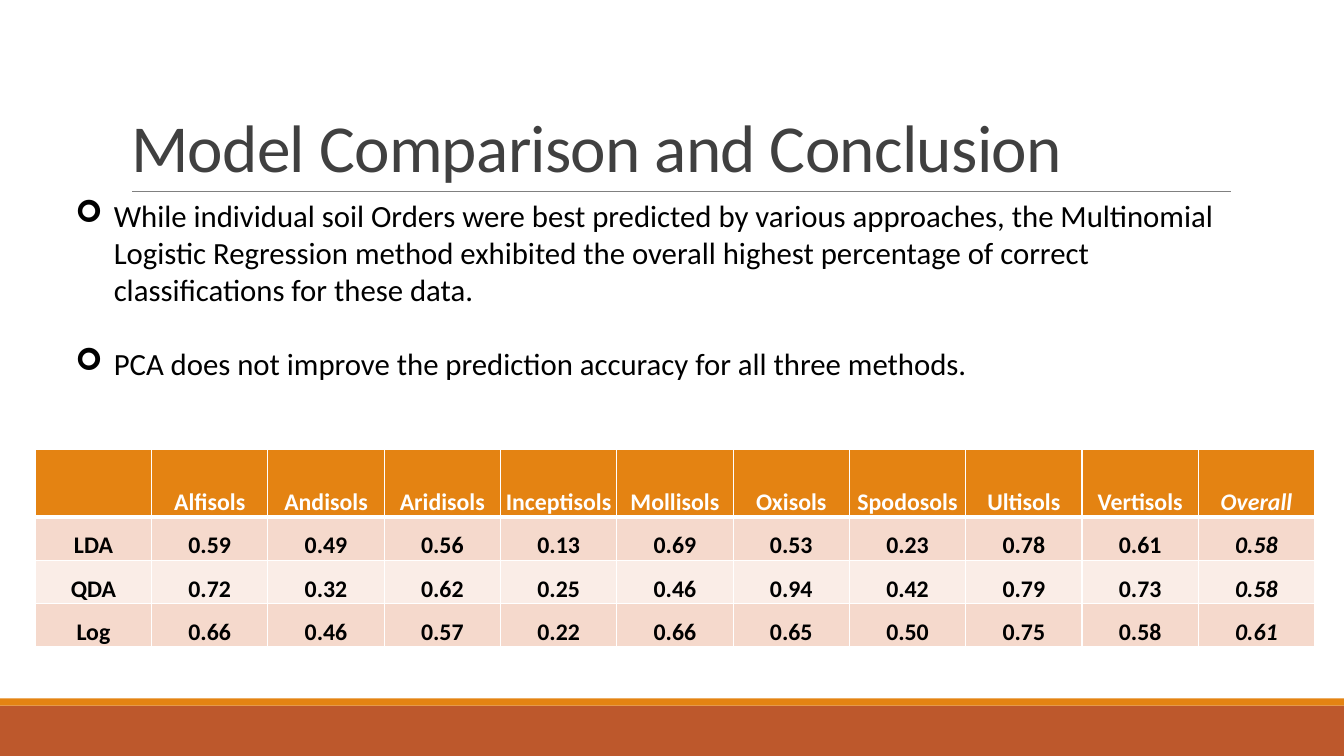
from lxml.etree import SubElement
from pptx import Presentation
from pptx.dml.color import RGBColor
from pptx.enum.shapes import MSO_CONNECTOR, MSO_SHAPE
from pptx.enum.text import MSO_ANCHOR, PP_ALIGN
from pptx.oxml.ns import qn
from pptx.util import Inches, Pt

FONT = "Calibri"
COLORS = {
    "rust": "BD582C", "orange": "E48312", "rule": "808080", "title": "404040",
    "text": "000000", "white": "FFFFFF", "band_dark": "F5D9CC", "band_light": "FAEDE7",
}
POINTS = [
    "While individual soil Orders were best predicted by various approaches, "
    "the Multinomial Logistic Regression method exhibited the overall highest "
    "percentage of correct classifications for these data.",
    "PCA does not improve the prediction accuracy for all three methods.",
]
ACCURACY = [
    ["", "Alfisols", "Andisols", "Aridisols", "Inceptisols", "Mollisols",
     "Oxisols", "Spodosols", "Ultisols", "Vertisols", "Overall"],
    ["LDA", "0.59", "0.49", "0.56", "0.13", "0.69", "0.53", "0.23", "0.78", "0.61", "0.58"],
    ["QDA", "0.72", "0.32", "0.62", "0.25", "0.46", "0.94", "0.42", "0.79", "0.73", "0.58"],
    ["Log", "0.66", "0.46", "0.57", "0.22", "0.66", "0.65", "0.50", "0.75", "0.58", "0.61"],
]


def rgb(name):
    return RGBColor.from_string(COLORS[name])


def style(p, size, color, bold=False, italic=False):
    for r in p.runs:
        r.font.name, r.font.size = FONT, Pt(size)
        r.font.bold, r.font.italic = bold, italic
        r.font.color.rgb = rgb(color)


def add_footer(s, x, y, w, h):
    # Thin orange strip above a rust bar
    strip = 0.07
    for color, top, height in (("rust", y + strip, h - strip), ("orange", y, strip)):
        bar = s.shapes.add_shape(MSO_SHAPE.RECTANGLE, Inches(x), Inches(top),
                                 Inches(w), Inches(height))
        bar.shadow.inherit = False
        bar.fill.solid()
        bar.fill.fore_color.rgb = rgb(color)
        bar.line.fill.background()


def add_title(s, x, y, w, h):
    title = s.shapes.title
    title.left, title.top, title.width, title.height = map(Inches, (x, y, w, h))
    tf = title.text_frame
    tf.text = "Model Comparison and Conclusion"
    tf.vertical_anchor = MSO_ANCHOR.BOTTOM
    p = tf.paragraphs[0]
    p.alignment, p.line_spacing = PP_ALIGN.LEFT, 0.85
    style(p, 48, "title")
    p.runs[0]._r.get_or_add_rPr().set("spc", "-50")

    # Rule under the title
    rule = s.shapes.add_connector(MSO_CONNECTOR.STRAIGHT, Inches(x + 0.11), Inches(y + h),
                                  Inches(x + w + 0.01), Inches(y + h))
    rule.line.color.rgb, rule.line.width = rgb("rule"), Pt(0.5)
    SubElement(rule._element.spPr, qn("a:effectLst"))


def add_points(s, x, y, w, h):
    tf = s.shapes.add_textbox(*map(Inches, (x, y, w, h))).text_frame
    tf.word_wrap = True
    for i, point in enumerate(POINTS):
        p = tf.add_paragraph() if i else tf.paragraphs[0]
        p.text = point
        if i:
            p.space_before = Pt(27)
        pPr = p._p.get_or_add_pPr()
        pPr.set("marL", str(Inches(0.38)))
        pPr.set("indent", str(-Inches(0.38)))
        SubElement(pPr, qn("a:buFont"), typeface="Wingdings")
        SubElement(pPr, qn("a:buChar"), char="➢")
        style(p, 22, "text")


def set_borders(cell, bottom):
    tcPr = cell._tc.get_or_add_tcPr()
    for side, width in (("L", 1), ("R", 1), ("T", 1), ("B", bottom)):
        ln = SubElement(tcPr, qn(f"a:ln{side}"), w=str(Pt(width)))
        fill = SubElement(ln, qn("a:solidFill"))
        SubElement(fill, qn("a:srgbClr"), val=COLORS["white"])


def add_accuracy_table(s, x, y, w, h):
    n_rows, n_cols = len(ACCURACY), len(ACCURACY[0])
    header_h = h * 0.34
    table = s.shapes.add_table(n_rows, n_cols, *map(Inches, (x, y, w, h))).table
    for col in table.columns:
        col.width = Inches(w / n_cols)
    for i, values in enumerate(ACCURACY):
        header = i == 0
        table.rows[i].height = Inches(header_h if header else (h - header_h) / (n_rows - 1))
        band = "orange" if header else "band_dark" if i % 2 else "band_light"
        for j, value in enumerate(values):
            cell = table.cell(i, j)
            cell.text = value
            cell.vertical_anchor = MSO_ANCHOR.BOTTOM
            cell.margin_left = cell.margin_right = cell.margin_top = Inches(0.01)
            cell.margin_bottom = 0
            set_borders(cell, 3 if header else 1)
            cell.fill.solid()
            cell.fill.fore_color.rgb = rgb(band)
            p = cell.text_frame.paragraphs[0]
            p.alignment = PP_ALIGN.CENTER
            style(p, 17, "white" if header else "text", bold=True, italic=j == n_cols - 1)


def main():
    prs = Presentation()
    prs.slide_width, prs.slide_height = Inches(13.33), Inches(7.5)
    s = prs.slides.add_slide(prs.slide_layouts[5])
    add_footer(s, 0, 6.93, 13.33, 0.57)
    add_title(s, 1.2, 0.31, 11, 1.59)
    add_points(s, 0.65, 1.9, 11.99, 1.95)
    add_accuracy_table(s, 0.35, 4.46, 12.69, 1.96)
    prs.save("out.pptx")


if __name__ == "__main__":
    main()
